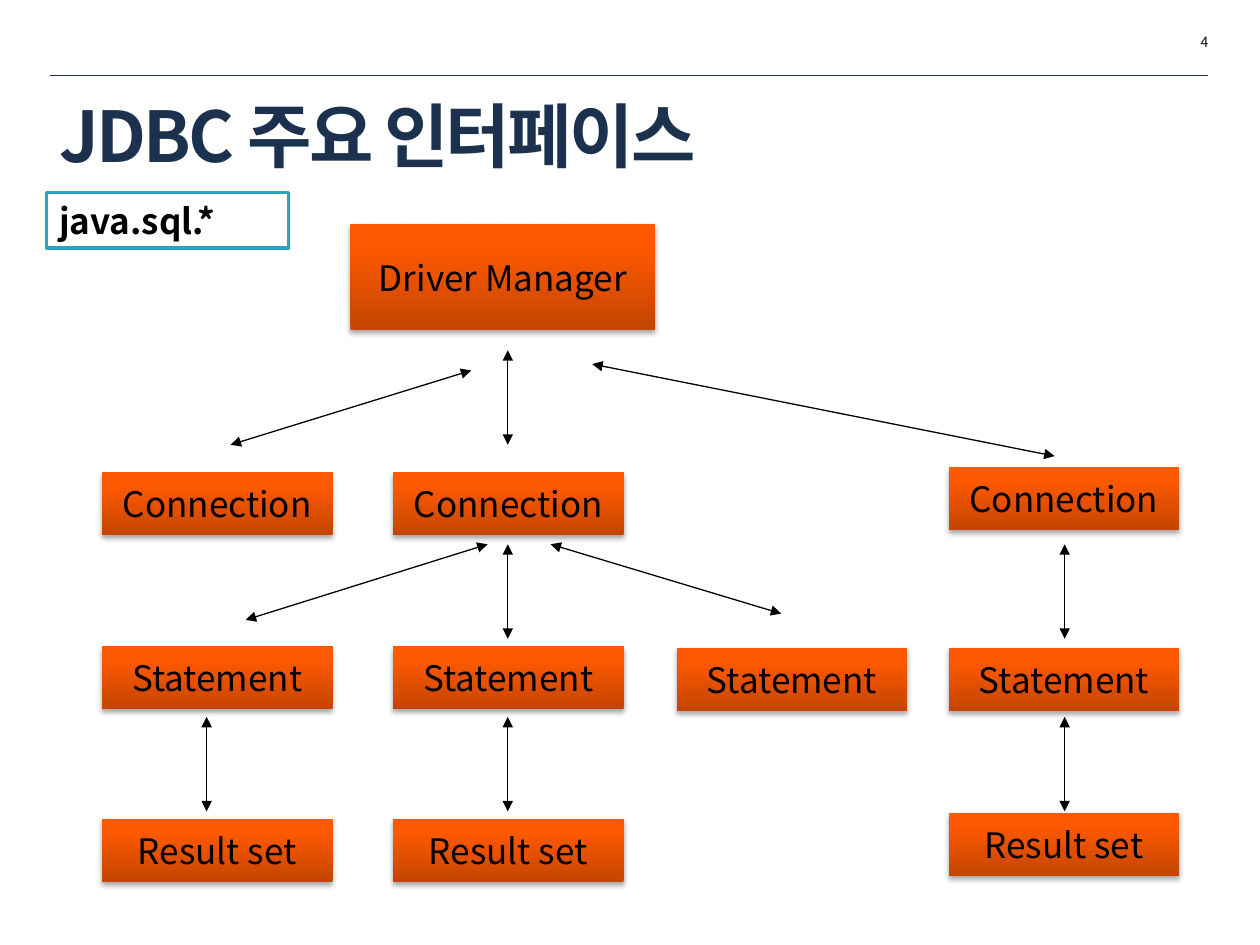
"""Build a slide of the main JDBC interfaces and how they connect."""
from copy import deepcopy
from lxml.etree import SubElement
from pptx import Presentation
from pptx.dml.color import RGBColor
from pptx.enum.shapes import MSO_CONNECTOR, MSO_SHAPE
from pptx.enum.text import MSO_ANCHOR, PP_ALIGN
from pptx.oxml.ns import qn
from pptx.util import Inches, Pt

FONT = "Noto Sans CJK KR"
color = RGBColor.from_string


def write(shape, text, size, ink="000000", bold=False, align=PP_ALIGN.LEFT, space=0):
    frame = shape.text_frame
    frame.text = text
    frame.word_wrap = True
    frame.vertical_anchor = MSO_ANCHOR.MIDDLE
    line = frame.paragraphs[0]
    line.alignment = align
    font = line.runs[0].font
    font.name, font.size, font.bold = FONT, Pt(size), bold
    font.color.rgb = color(ink)
    props = line.runs[0].font._element
    props.set("spc", str(int(space * 100)))
    SubElement(props, qn("a:ea"), typeface=FONT)


def link(start, end, ink="000000", width=0.75, arrows=True):
    line = slide.shapes.add_connector(
        MSO_CONNECTOR.STRAIGHT, *map(Inches, start + end))
    line.line.color.rgb = color(ink)
    line.line.width = Pt(width)
    if arrows:
        for tip in ("a:headEnd", "a:tailEnd"):
            SubElement(line.line._get_or_add_ln(), qn(tip), type="triangle")
    SubElement(line._element.spPr, qn("a:effectLst"))


deck = Presentation()
deck.slide_width, deck.slide_height = Inches(10), Inches(7.5)
slide = deck.slides.add_slide(deck.slide_layouts[6])

link((0.4, 0.6), (9.59, 0.6), "1C314E", 0.25, False)
title = slide.shapes.add_textbox(*map(Inches, (0.37, 0.75, 9.22, 0.64)))
write(title, "JDBC 주요 인터페이스", 40, "1C314E", True, space=-1.5)
page = slide.shapes.add_textbox(*map(Inches, (7.96, 0.21, 1.73, 0.24)))
write(page, "4", 8, "0D0D0D", align=PP_ALIGN.RIGHT, space=-0.3)

cols = [0.81, 3.12, 5.37, 7.53]
wide, high = 1.83, 0.5
rows = {
    "Connection": {0: 3.75, 1: 3.75, 3: 3.71},
    "Statement": {0: 5.13, 1: 5.13, 2: 5.14, 3: 5.14},
    "Result set": {0: 6.5, 1: 6.5, 3: 6.45},
}
boxes = [("Driver Manager", 2.78, 1.78, 2.42, 0.84)]
for name, tops in rows.items():
    boxes += [(name, cols[col], top, wide, high) for col, top in tops.items()]

for name, *place in boxes:
    box = slide.shapes.add_shape(MSO_SHAPE.RECTANGLE, *map(Inches, place))
    box.fill.gradient()
    box.fill.gradient_angle = 90
    stops = box._element.spPr.find(".//" + qn("a:gsLst"))
    stops.append(deepcopy(stops[-1]))
    shades = [(0, "C44500"), (0.8, "FE5900"), (1, "FF5A00")]
    for stop, (share, shade) in zip(box.fill.gradient_stops, shades):
        stop.position = share
        stop.color.rgb = color(shade)
    box.line.fill.background()
    box.shadow.inherit = False
    glow = SubElement(
        box._element.spPr.find(qn("a:effectLst")), qn("a:outerShdw"),
        blurRad=str(Pt(3.1)), dist=str(Pt(1.8)), dir="5400000", rotWithShape="0")
    tint = SubElement(glow, qn("a:srgbClr"), val="000000")
    SubElement(tint, qn("a:alpha"), val="35000")
    write(box, name, 20, align=PP_ALIGN.CENTER)

drops = {2.78: [4.03], 4.32: [4.03, 8.45], 5.69: [1.64, 4.03, 8.45]}
for top, spots in drops.items():
    for left in spots:
        link((left, top), (left, top + 0.75))

slants = [
    ((1.83, 3.53), (3.74, 2.94)),
    ((8.37, 3.62), (4.7, 2.89)),
    ((1.95, 4.92), (3.87, 4.32)),
    ((6.2, 4.87), (4.37, 4.32)),
]
for start, end in slants:
    link(start, end)

label = slide.shapes.add_shape(
    MSO_SHAPE.RECTANGLE, *map(Inches, (0.37, 1.53, 1.92, 0.44)))
label.fill.solid()
label.fill.fore_color.rgb = color("FFFFFF")
label.line.color.rgb = color("2DA2BF")
label.line.width = Pt(2)
label.shadow.inherit = False
write(label, "java.sql.*", 20, bold=True)

deck.save("out.pptx")
